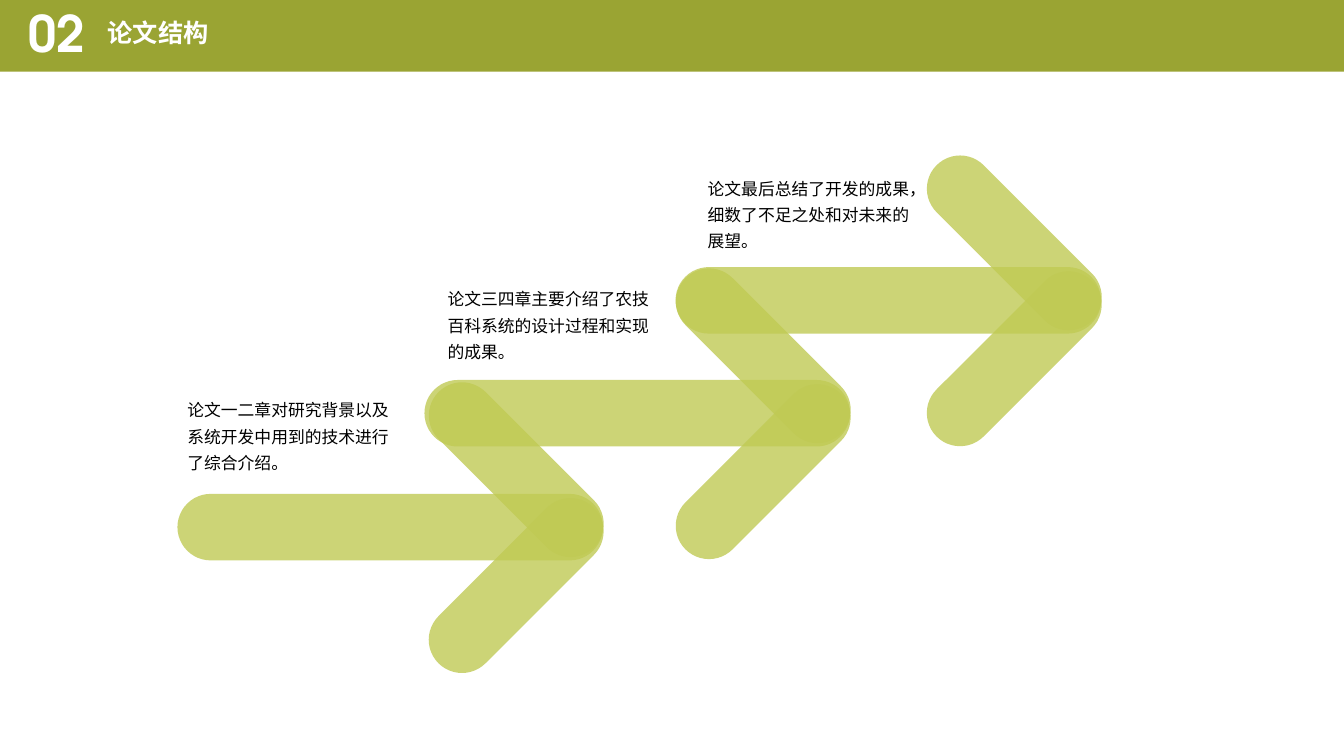
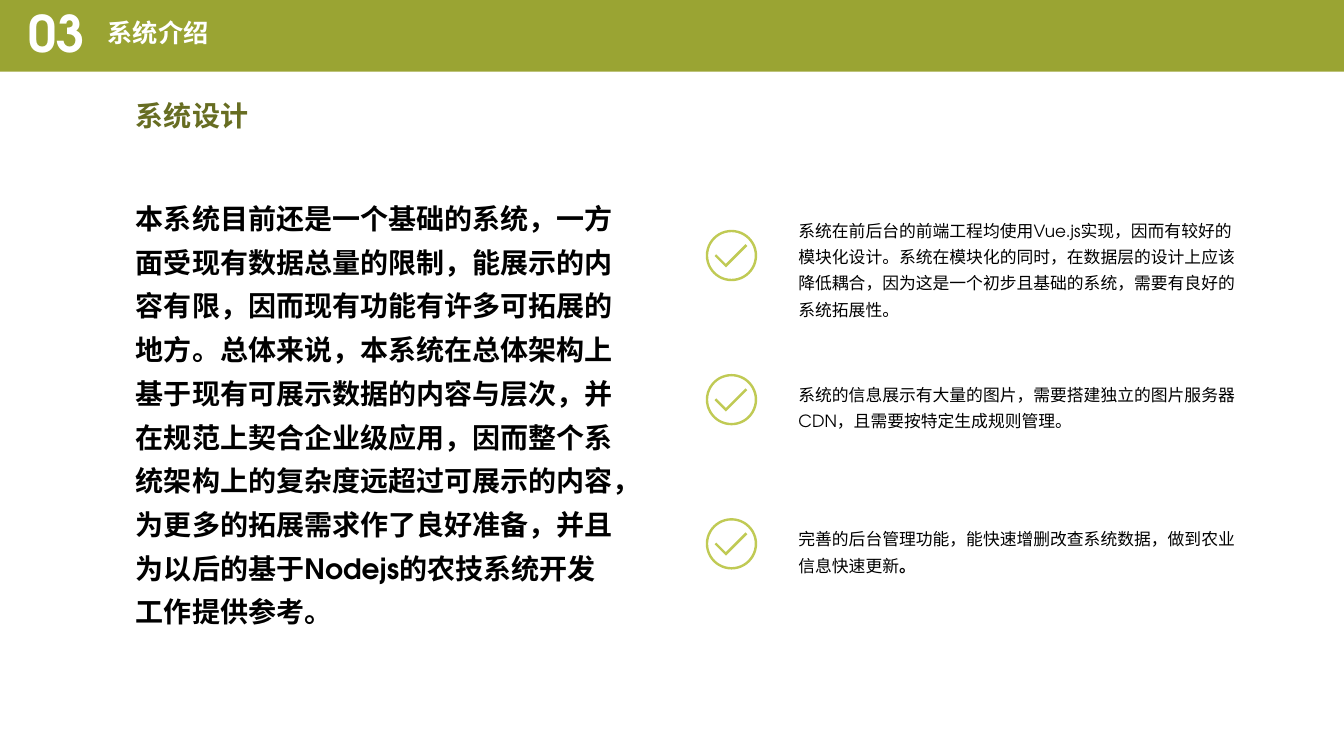
from dataclasses import dataclass

from lxml.etree import SubElement
from pptx import Presentation
from pptx.dml.color import RGBColor
from pptx.enum.shapes import MSO_SHAPE as Shape
from pptx.enum.text import MSO_ANCHOR as Anchor
from pptx.oxml.ns import qn
from pptx.util import Inches, Pt


@dataclass(frozen=True)
class Theme:
    band: RGBColor = RGBColor.from_string("9AA433")
    accent: RGBColor = RGBColor.from_string("C0CA54")
    heading: RGBColor = RGBColor.from_string("676D22")
    text: RGBColor = RGBColor.from_string("000000")
    light: RGBColor = RGBColor.from_string("FFFFFF")
    latin_font: str = "TeX Gyre Adventor"
    chinese_font: str = "Noto Sans CJK SC"
    number_size: int = 36
    title_size: int = 18
    lead_size: int = 20
    body_size: int = 12
    title_spacing: float = 0.9
    body_spacing: float = 1.3
    arrow_opacity: int = 80


class Deck:
    def __init__(self, theme):
        self.theme = theme
        self.presentation = Presentation()
        self.presentation.slide_width = Inches(13.33)
        self.presentation.slide_height = Inches(7.5)
        self.slide = None

    def add_slide(self, number, title):
        theme = self.theme
        self.slide = self.presentation.slides.add_slide(self.presentation.slide_layouts[6])
        self.shape(self.slide.shapes, Shape.RECTANGLE, (0, 0, 13.33, 0.71), theme.band)
        style = dict(color=theme.light, bold=True, spacing=theme.title_spacing)
        self.text((0.97, 0.16, 4.18, 0.4), title, theme.title_size, **style)
        self.text((0.18, 0.09, 0.79, 0.53), number, theme.number_size,
                  anchor=Anchor.MIDDLE, **style)

    def shape(self, shapes, kind, box, color, adjustments=(), rotation=0, opacity=None):
        shape = shapes.add_shape(kind, *map(Inches, box))
        shape.shadow.inherit = False
        shape.fill.solid()
        shape.fill.fore_color.rgb = color
        shape.line.fill.background()
        shape.rotation = rotation
        for index, value in enumerate(adjustments):
            shape.adjustments[index] = value
        if opacity is not None:
            fill_color = shape._element.spPr.find(qn("a:solidFill")).find(qn("a:srgbClr"))
            SubElement(fill_color, qn("a:alpha"), val=str(opacity * 1000))

    def text(self, box, content, size, color=None, bold=False, font=None,
             spacing=None, anchor=Anchor.TOP, bold_ending=""):
        theme = self.theme
        text_box = self.slide.shapes.add_textbox(*map(Inches, box))
        frame = text_box.text_frame
        frame.word_wrap = True
        frame.vertical_anchor = anchor
        paragraph = frame.paragraphs[0]
        paragraph.line_spacing = spacing or theme.body_spacing
        paragraph.add_run().text = content
        if bold_ending:
            ending = paragraph.add_run()
            ending.text = bold_ending
            ending.font.bold = True
        paragraph.font.size = Pt(size)
        paragraph.font.bold = bold
        paragraph.font.color.rgb = color or theme.text
        paragraph.font.name = font or theme.latin_font
        properties = paragraph._p.get_or_add_pPr().find(qn("a:defRPr"))
        SubElement(properties, qn("a:ea"), typeface=theme.chinese_font)

    def arrow(self, left, top):
        shapes = self.slide.shapes.add_group_shape().shapes
        head_left = left + 2.27
        bars = (
            ((left, top, 4.22, 0.66), 0),
            ((head_left, top - 0.57, 2.18, 0.66), 45),
            ((head_left, top + 0.58, 2.18, 0.66), 315),
        )
        for box, rotation in bars:
            self.shape(shapes, Shape.ROUNDED_RECTANGLE, box, self.theme.accent,
                       (0.5,), rotation, self.theme.arrow_opacity)

    def check_mark(self, left, top):
        shapes = self.slide.shapes.add_group_shape().shapes
        self.shape(shapes, Shape.DONUT, (left, top, 0.51, 0.51), self.theme.accent, (0.047,))
        self.shape(shapes, Shape.CORNER, (left + 0.1, top + 0.13, 0.3, 0.16),
                   self.theme.accent, (0.162, 0.149), 315)


def build_structure(deck):
    deck.add_slide("02", "论文结构")
    for left, top in ((1.76, 4.9), (4.21, 3.77), (6.7, 2.65)):
        deck.arrow(left, top)
    captions = (
        "论文一二章对研究背景以及系统开发中用到的技术进行了综合介绍。",
        "论文三四章主要介绍了农技百科系统的设计过程和实现的成果。",
        "论文最后总结了开发的成果，细数了不足之处和对未来的展望。",
    )
    for step, caption in enumerate(captions):
        deck.text((1.76 + 2.58 * step, 3.86 - 1.1 * step, 2.35, 0.89), caption,
                  deck.theme.body_size, font=deck.theme.chinese_font)


def build_introduction(deck):
    theme = deck.theme
    deck.add_slide("03", "系统介绍")
    deck.text((1.25, 0.83, 3.19, 0.5), "系统设计", theme.lead_size,
              color=theme.heading, bold=True, font=theme.chinese_font)
    deck.text(
        (1.25, 1.85, 4.98, 4.48),
        "本系统目前还是一个基础的系统，一方面受现有数据总量的限制，能展示的内容有限，"
        "因而现有功能有许多可拓展的地方。总体来说，本系统在总体架构上基于现有可展示"
        "数据的内容与层次，并在规范上契合企业级应用，因而整个系统架构上的复杂度远超过"
        "可展示的内容，为更多的拓展需求作了良好准备，并且为以后的基于Nodejs的农技系统"
        "开发工作提供参考。",
        theme.lead_size, bold=True)
    features = (
        (2.08, 1.15, "系统在前后台的前端工程均使用Vue.js实现，因而有较好的模块化设计。"
                     "系统在模块化的同时，在数据层的设计上应该降低耦合，因为这是一个初步且"
                     "基础的系统，需要有良好的系统拓展性。", ""),
        (3.71, 0.6, "系统的信息展示有大量的图片，需要搭建独立的图片服务器CDN，"
                    "且需要按特定生成规则管理。", ""),
        (5.14, 0.63, "完善的后台管理功能，能快速增删改查系统数据，做到农业信息快速更新", "。"),
    )
    for row, (top, height, feature, bold_ending) in enumerate(features):
        deck.check_mark(7, 2.28 + 1.43 * row)
        deck.text((7.82, top, 4.65, height), feature, theme.body_size,
                  bold_ending=bold_ending)


def main():
    deck = Deck(Theme())
    build_structure(deck)
    build_introduction(deck)
    deck.presentation.save("out.pptx")


if __name__ == "__main__":
    main()
